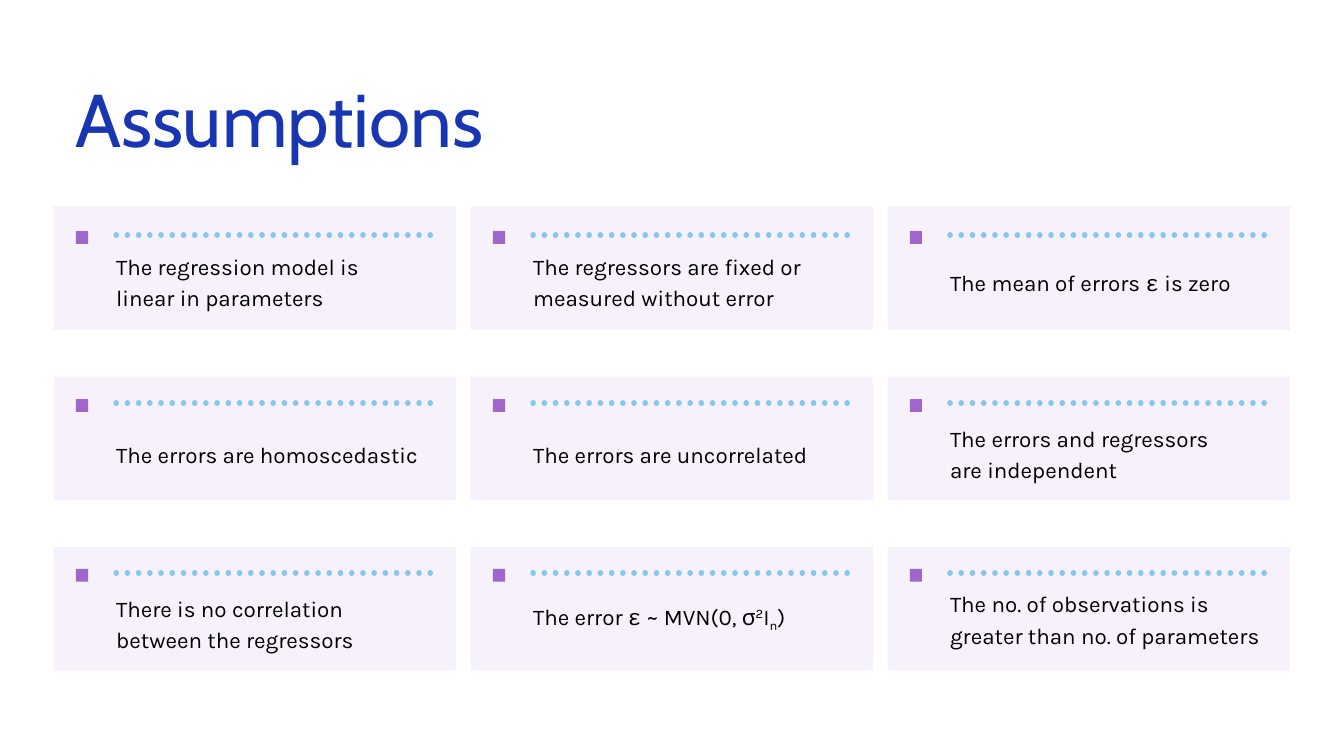
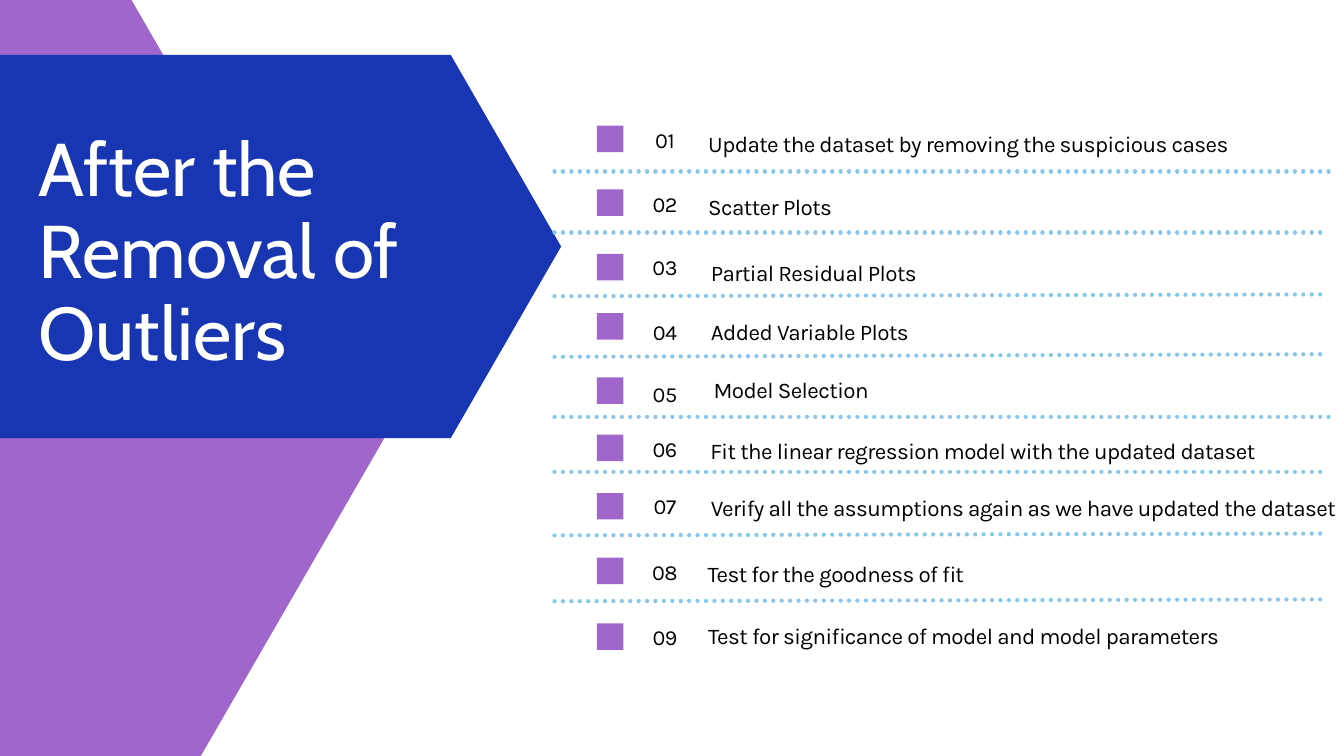
from dataclasses import dataclass
from itertools import product

from lxml.etree import SubElement
from pptx import Presentation
from pptx.dml.color import RGBColor
from pptx.enum.dml import MSO_LINE
from pptx.enum.shapes import MSO_CONNECTOR, MSO_SHAPE
from pptx.enum.text import MSO_AUTO_SIZE, PP_ALIGN
from pptx.oxml.ns import qn
from pptx.util import Cm, Pt


@dataclass(frozen=True)
class Theme:
    purple: str = "A066CB"
    blue: str = "1836B2"
    sky: str = "86C7ED"
    black: str = "000000"
    white: str = "FFFFFF"
    heading_font: str = "Cabin"
    body_font: str = "Karla"
    symbol_font: str = "Courier New"
    heading_size: float = 80
    body_size: float = 24
    number_size: float = 23.1
    card_opacity: int = 9


@dataclass(frozen=True)
class TextStyle:
    font: str
    size: float
    color: str
    leading: float
    tracking: int = 0
    align: PP_ALIGN = PP_ALIGN.LEFT


THEME = Theme()
SLIDE_WIDTH, SLIDE_HEIGHT = 50.8, 28.58

TITLE = TextStyle(THEME.heading_font, THEME.heading_size, THEME.blue, 88)
PANEL_TITLE = TextStyle(THEME.heading_font, THEME.heading_size, THEME.white, 88)
CARD_TEXT = TextStyle(THEME.body_font, THEME.body_size, THEME.black, 33.6)
STEP_TEXT = TextStyle(THEME.body_font, THEME.body_size, THEME.black, 39, -60)
STEP_NUMBER = TextStyle(THEME.body_font, THEME.number_size, THEME.black, 32.4, -50,
                        PP_ALIGN.CENTER)

CARD_LEFT, CARD_TOP = 2.03, 7.8
CARD_WIDTH, CARD_HEIGHT = 15.21, 4.67
COLUMN_STEP, ROW_STEP = 15.76, 6.44
CARD_INDENT = 2.36
MARKER_TOPS = (8.74, 15.09, 21.51)

EPSILON = ("ε", {"font": THEME.symbol_font})

ASSUMPTIONS = (
    (9.4, 10.9, 2, [("The regression model is linear in parameters", {})]),
    (9.4, 10.9, 2, [("The regressors are fixed or measured without error", {})]),
    (10.01, 10.9, 1, [("The mean of errors ", {}), EPSILON, (" is zero", {})]),
    (16.51, 11.68, 1, [("The errors are homoscedastic", {})]),
    (16.51, 11.68, 1, [("The errors are uncorrelated", {})]),
    (15.9, 10.03, 2, [("The errors and regressors are independent", {})]),
    (22.33, 10.9, 2, [("There is no correlation between the regressors", {})]),
    (22.76, 10.9, 1, [("The error ", {}), EPSILON, (" ~ MVN(0, σ", {}),
                      ("2", {"baseline": 30}), ("I", {}),
                      ("n", {"baseline": -25}), (")", {})]),
    (22.15, 12.01, 2, [("The no. of observations is greater than no. of parameters", {})]),
)

STEPS = (
    (4.75, 4.62, 26.77, 4.55, 19.69, "Update the dataset by removing the suspicious cases"),
    (7.16, 7.06, 26.77, 6.93, 23.93, "Scatter Plots"),
    (9.6, 9.42, 26.87, 9.42, 22.63, "Partial Residual Plots"),
    (11.84, 11.89, 26.87, 11.68, 22.63, "Added Variable Plots"),
    (14.27, 14.25, 26.97, 13.87, 22.63, "Model Selection"),
    (16.43, 16.33, 26.85, 16.15, 22.63,
     "Fit the linear regression model with the updated dataset"),
    (18.64, 18.47, 26.87, 18.31, 23.93,
     "Verify all the assumptions again as we have updated the dataset"),
    (21.08, 20.96, 26.75, 20.83, 22.63, "Test for the goodness of fit"),
    (23.57, 23.44, 26.77, 23.16, 22.63,
     "Test for significance of model and model parameters"),
)

DIVIDERS = (
    (6.48, 50.37, 6.48),
    (8.79, 49.96, 8.79),
    (11.2, 49.96, 11.13),
    (13.49, 49.96, 13.39),
    (15.75, 50.37, 15.75),
    (17.83, 49.96, 17.83),
    (20.24, 49.96, 20.17),
    (22.73, 49.96, 22.66),
)


def set_values(target, values):
    for name, value in values.items():
        setattr(target, name, value)


def paint(shape, color, opacity=100):
    shape.shadow.inherit = False
    shape.fill.solid()
    shape.fill.fore_color.rgb = RGBColor.from_string(color)
    shape.line.fill.background()
    if opacity < 100:
        tint = shape._element.spPr.find(".//" + qn("a:srgbClr"))
        SubElement(tint, qn("a:alpha")).set("val", str(opacity * 1000))


def add_rectangle(shapes, left, top, width, height, opacity=100):
    box = shapes.add_shape(MSO_SHAPE.RECTANGLE, Cm(left), Cm(top), Cm(width), Cm(height))
    paint(box, THEME.purple, opacity)


def add_hexagon(page, left, top, width, height, inset, color):
    right, bottom, middle = left + width, top + height, top + height / 2
    corners = [(left + inset, top), (left, middle), (left + inset, bottom),
               (right - inset, bottom), (right, middle)]
    outline = page.shapes.build_freeform(Cm(right - inset), Cm(top))
    outline.add_line_segments([(Cm(x), Cm(y)) for x, y in corners], close=True)
    paint(outline.convert_to_shape(), color)


def add_dotted_line(shapes, start, end, weight):
    rule = shapes.add_connector(MSO_CONNECTOR.STRAIGHT, *map(Cm, start + end))
    rule.line.color.rgb = RGBColor.from_string(THEME.sky)
    set_values(rule.line, {"width": Pt(weight), "dash_style": MSO_LINE.ROUND_DOT})
    properties = rule._element.spPr
    properties.find(qn("a:ln")).set("cap", "rnd")
    SubElement(properties, qn("a:effectLst"))


def add_text(page, left, top, width, height, spans, style):
    box = page.shapes.add_textbox(Cm(left), Cm(top), Cm(width), Cm(height))
    frame = box.text_frame
    set_values(frame, {
        "margin_left": 0, "margin_right": 0, "margin_top": 0, "margin_bottom": 0,
        "word_wrap": True, "auto_size": MSO_AUTO_SIZE.SHAPE_TO_FIT_TEXT,
    })
    para = frame.paragraphs[0]
    set_values(para, {"line_spacing": Pt(style.leading), "alignment": style.align})
    for text, changes in spans:
        span = para.add_run()
        span.text = text
        set_values(span.font, {"name": changes.get("font", style.font),
                               "size": Pt(style.size)})
        span.font.color.rgb = RGBColor.from_string(style.color)
        properties = span._r.get_or_add_rPr()
        if style.tracking:
            properties.set("spc", str(style.tracking))
        if "baseline" in changes:
            properties.set("baseline", str(changes["baseline"] * 1000))


def add_card(page, row, column, assumption):
    text_top, text_width, line_count, spans = assumption
    left = CARD_LEFT + column * COLUMN_STEP
    text_left = left + CARD_INDENT
    marker_top = MARKER_TOPS[row]
    rule_top = marker_top + 0.15
    add_rectangle(page.shapes, left, CARD_TOP + row * ROW_STEP,
                  CARD_WIDTH, CARD_HEIGHT, THEME.card_opacity)
    header = page.shapes.add_group_shape()
    add_rectangle(header.shapes, left + 0.84, marker_top, 0.46, 0.48)
    add_dotted_line(header.shapes, (text_left, rule_top), (text_left + 12.02, rule_top), 6)
    add_text(page, text_left, text_top, text_width, line_count * 1.17, spans, CARD_TEXT)


def add_step(page, number, step):
    square_top, number_top, text_left, text_top, text_width, text = step
    add_rectangle(page.shapes, 22.56, square_top, 1, 1)
    add_text(page, 24.36, number_top, 1.55, 1.09, [(f"{number:02}", {})], STEP_NUMBER)
    add_text(page, text_left, text_top, text_width, 1.27, [(text, {})], STEP_TEXT)


def add_page(deck):
    return deck.slides.add_slide(deck.slide_layouts[6])


def build_assumptions(deck):
    page = add_page(deck)
    add_text(page, 2.84, 3.05, 45.09, 3.18, [("Assumptions", {})], TITLE)
    for (row, column), assumption in zip(product(range(3), repeat=2), ASSUMPTIONS):
        add_card(page, row, column, assumption)


def build_outlier_steps(deck):
    page = add_page(deck)
    add_hexagon(page, -14.55, -2.67, 29.08, 38.46, 11.1, THEME.purple)
    add_hexagon(page, -8.66, 2.08, 29.87, 14.48, 4.17, THEME.blue)
    add_text(page, 1.47, 4.9, 15.42, 9.4, [("After the Removal of Outliers", {})], PANEL_TITLE)
    for start_top, end_left, end_top in DIVIDERS:
        add_dotted_line(page.shapes, (20.96, start_top), (end_left, end_top), 4.5)
    for number, step in enumerate(STEPS, start=1):
        add_step(page, number, step)


def main():
    deck = Presentation()
    set_values(deck, {"slide_width": Cm(SLIDE_WIDTH), "slide_height": Cm(SLIDE_HEIGHT)})
    build_assumptions(deck)
    build_outlier_steps(deck)
    deck.save("out.pptx")


if __name__ == "__main__":
    main()
